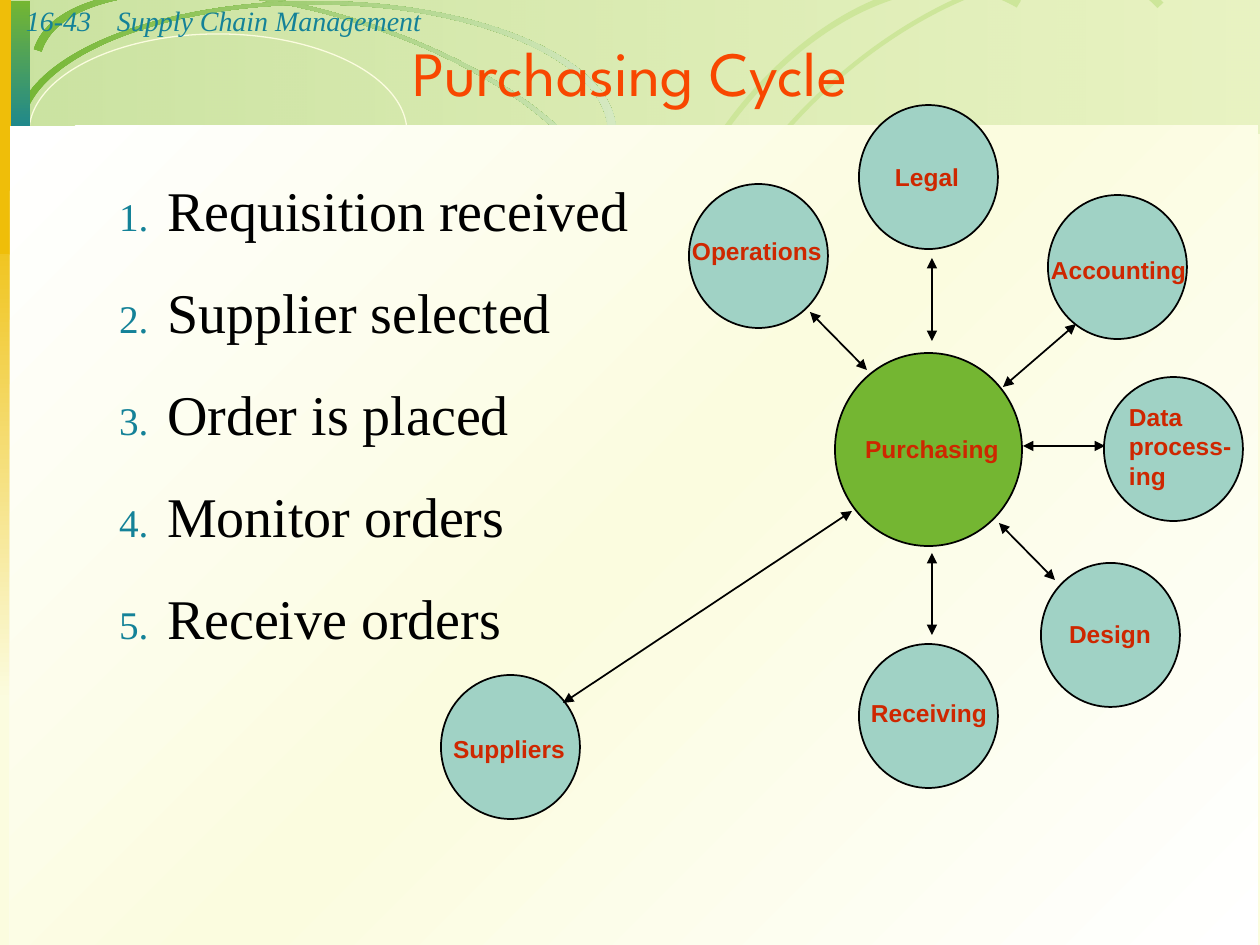
from pptx import Presentation
from pptx.dml.color import RGBColor
from pptx.enum.shapes import MSO_CONNECTOR, MSO_SHAPE
from pptx.enum.text import MSO_ANCHOR, MSO_AUTO_SIZE, PP_ALIGN
from pptx.oxml import parse_xml
from pptx.oxml.ns import nsdecls, qn
from pptx.util import Emu, Inches, Pt
from lxml.etree import Element, SubElement

SCALE = Inches(1) / 126
TEAL, GREEN, RED, ORANGE = "148298", "74B632", "CE2700", "F84700"
GOLD, LIME, CREAM, PALE = "EFBE09", "CEDE73", "FBFCDF", "CDE69A"
BLACK, WHITE = "000000", "FFFFFF"

STEPS = ["Requisition received", "Supplier selected", "Order is placed",
         "Monitor orders", "Receive orders"]
DEPARTMENTS = [
    ("Legal", (859, 105), (889, 158, 125)),
    ("Receiving", (859, 644), (865, 694, 154)),
    ("Data\nprocess-\ning", (1104, 377), (1123, 398, 146)),
    ("Accounting", (1048, 195), (1045, 251, 179)),
    ("Design", (1041, 563), (1063, 615, 135)),
    ("Operations", (689, 184), (686, 232, 154)),
    ("Suppliers", (441, 675), (447, 730, 135)),
]
ARROWS = [
    (563, 703, 852, 511), (932, 258, 932, 341), (1076, 324, 1003, 387),
    (810, 312, 867, 370), (1023, 446, 1105, 446), (932, 553, 932, 635),
    (999, 523, 1055, 580),
]
COLOR_BARS = [(10, 232, TEAL, LIME), (239, 232, LIME, GOLD),
              (470, 232, GOLD, ORANGE), (699, 460, ORANGE, CREAM)]


def px(value):
    return Emu(round(value * SCALE))


def color(hex_code):
    return RGBColor.from_string(hex_code)


def blend(start, end):
    return [(0, start, 100), (100, end, 100)]


def set_fill(sp, fill, angle=0):
    if fill is None:
        sp.fill.background()
        return
    sp.fill.solid()
    if isinstance(fill, str):
        sp.fill.fore_color.rgb = color(fill)
        return
    stops = "".join(
        f'<a:gs pos="{pos * 1000}"><a:srgbClr val="{code}">'
        f'<a:alpha val="{alpha * 1000}"/></a:srgbClr></a:gs>'
        for pos, code, alpha in fill)
    grad = parse_xml(
        f'<a:gradFill {nsdecls("a")} rotWithShape="1"><a:gsLst>{stops}</a:gsLst>'
        f'<a:lin ang="{angle * 60000}" scaled="0"/></a:gradFill>')
    props = sp.element.spPr
    props.replace(props.find(qn("a:solidFill")), grad)


def style(sp, fill, angle=0, line=None, width=1):
    sp.shadow.inherit = False
    set_fill(sp, fill, angle)
    if line:
        sp.line.color.rgb = color(line)
        sp.line.width = Pt(width)
    else:
        sp.line.fill.background()


def add_preset(s, kind, box, fill, **options):
    sp = s.shapes.add_shape(kind, *map(px, box))
    style(sp, fill, **options)


def half_ellipse(cx, cy, rx, ry):
    k = 0.55
    return [(px(cx + rx * x), px(cy - ry * y)) for x, y in
            ((-1, 0), (-1, k), (-k, 1), (0, 1), (k, 1), (1, k), (1, 0))]


def add_arch(s, box, fill, rotation=0, angle=0):
    x, y, w, h = box
    center = (x + w / 2, y + h / 2)
    inner = half_ellipse(*center, 0.973 * w / 2, 0.973 * h / 2)
    outer = half_ellipse(*center, w / 2, h / 2)[::-1]
    builder = s.shapes.build_freeform(*inner[0], scale=1.0)
    builder.add_line_segments(inner[1:] + outer, close=True)
    sp = builder.convert_to_shape()
    outline = next(sp.element.iter(qn("a:path")))
    outline.set("h", str(px(h)))
    sp.height = px(h)
    sp.rotation = rotation
    sides = outline.findall(qn("a:lnTo"))
    for start in (0, 3, 7, 10):
        curve = Element(qn("a:cubicBezTo"))
        sides[start].addprevious(curve)
        for side in sides[start:start + 3]:
            curve.append(side[0])
            outline.remove(side)
    style(sp, fill, angle)


def format_paragraph(p, size, font, hex_code, bold=False, italic=False, align=None):
    p.alignment = align
    for r in p.runs:
        r.font.size = Pt(size)
        r.font.name = font
        r.font.bold = bold
        r.font.italic = italic
        r.font.color.rgb = color(hex_code)


def add_text(s, box, text, insets, *look, **options):
    tf = s.shapes.add_textbox(*map(px, box)).text_frame
    tf.word_wrap = True
    tf.margin_left, tf.margin_top, tf.margin_right, tf.margin_bottom = map(px, insets)
    tf.text = text
    for p in tf.paragraphs:
        format_paragraph(p, *look, **options)
    return tf


def add_label(s, x, y, width, text, align=None):
    height = 8 + 29 * len(text.split("\n"))
    add_text(s, (x, y, width, height), text, (6, 4, 6, 4),
             14, "Arial", RED, bold=True, align=align)


def add_steps(s):
    tf = add_text(s, (107, 169, 1130, 488), "\n".join(STEPS), (12, 6, 13, 6),
                  32, "Times New Roman", BLACK)
    for i, p in enumerate(tf.paragraphs):
        props = p._p.get_or_add_pPr()
        props.set("marL", str(px(48)))
        props.set("indent", str(-px(48)))
        SubElement(SubElement(props, qn("a:buClr")), qn("a:srgbClr")).set("val", TEAL)
        SubElement(props, qn("a:buSzPct")).set("val", "70000")
        SubElement(props, qn("a:buAutoNum")).set("type", "arabicPeriod")
        if i:
            p.space_before = Pt(20)


def add_arrow(s, ends):
    line = s.shapes.add_connector(MSO_CONNECTOR.STRAIGHT, *map(px, ends))
    line.line.color.rgb = color(BLACK)
    line.line.width = Pt(1)
    for end in ("a:headEnd", "a:tailEnd"):
        SubElement(line.line._get_or_add_ln(), qn(end)).set("type", "triangle")
    SubElement(line.element.spPr, qn("a:effectLst"))


def add_backdrop(s):
    rect, oval = MSO_SHAPE.RECTANGLE, MSO_SHAPE.OVAL
    leaf = blend(GREEN, "D5E9C1")
    s.background.fill.solid()
    s.background.fill.fore_color.rgb = color(CREAM)
    add_preset(s, rect, (1, 0, 1259, 134), [(0, GREEN, 36), (100, "BCDD7B", 29)])
    add_arch(s, (20, 14, 601, 251), leaf, 17.5, 342)
    add_preset(s, oval, (29, 34, 378, 197), None, line=CREAM, width=0.75)
    add_preset(s, rect, (0, 195, 28, 505), blend(GOLD, CREAM), angle=90)
    add_arch(s, (639, 40, 601, 326), PALE, 318.2)
    add_arch(s, (567, 66, 601, 386), PALE, 300.7)
    add_arch(s, (15, 1, 601, 261), leaf)
    add_preset(s, rect, (1, 1, 29, 144), blend(GREEN, TEAL), angle=90)
    add_preset(s, rect, (0, 0, 11, 254), GOLD)
    for x, width, start, end in COLOR_BARS:
        add_preset(s, rect, (x, 134, width, 10), blend(start, end))
    add_preset(s, rect, (10, 126, 1248, 819),
               [(0, WHITE, 100), (50, CREAM, 100), (100, WHITE, 100)], angle=45)


def add_title(s, text):
    title = s.shapes.title
    title.element.getparent().append(title.element)
    title.left, title.top, title.width, title.height = map(px, (0, 38, 1260, 77))
    tf = title.text_frame
    tf.text = text
    tf.vertical_anchor = MSO_ANCHOR.BOTTOM
    tf.auto_size = MSO_AUTO_SIZE.NONE
    format_paragraph(tf.paragraphs[0], 36, "League Spartan", ORANGE, align=PP_ALIGN.CENTER)


def main():
    prs = Presentation()
    prs.slide_width, prs.slide_height = px(1260), px(945)
    s = prs.slides.add_slide(prs.slide_layouts[5])
    add_backdrop(s)
    for x, width, inset, text in ((0, 155, 26, "16-43"),
                                  (104, 1071, 13, "Supply Chain Management")):
        add_text(s, (x, -2, width, 47), text, (inset, 6, 13, 6),
                 16, "Times New Roman", TEAL, italic=True)
    add_title(s, "Purchasing Cycle")
    add_steps(s)
    for _, corner, _ in DEPARTMENTS:
        add_preset(s, MSO_SHAPE.OVAL, (*corner, 139, 144), "A0D2C5", line=BLACK)
    add_preset(s, MSO_SHAPE.OVAL, (835, 353, 187, 193), GREEN, line=BLACK)
    add_label(s, 831, 430, 202, "Purchasing", PP_ALIGN.CENTER)
    for name, _, place in DEPARTMENTS:
        add_label(s, *place, name)
    for ends in ARROWS:
        add_arrow(s, ends)
    prs.save("out.pptx")


if __name__ == "__main__":
    main()
